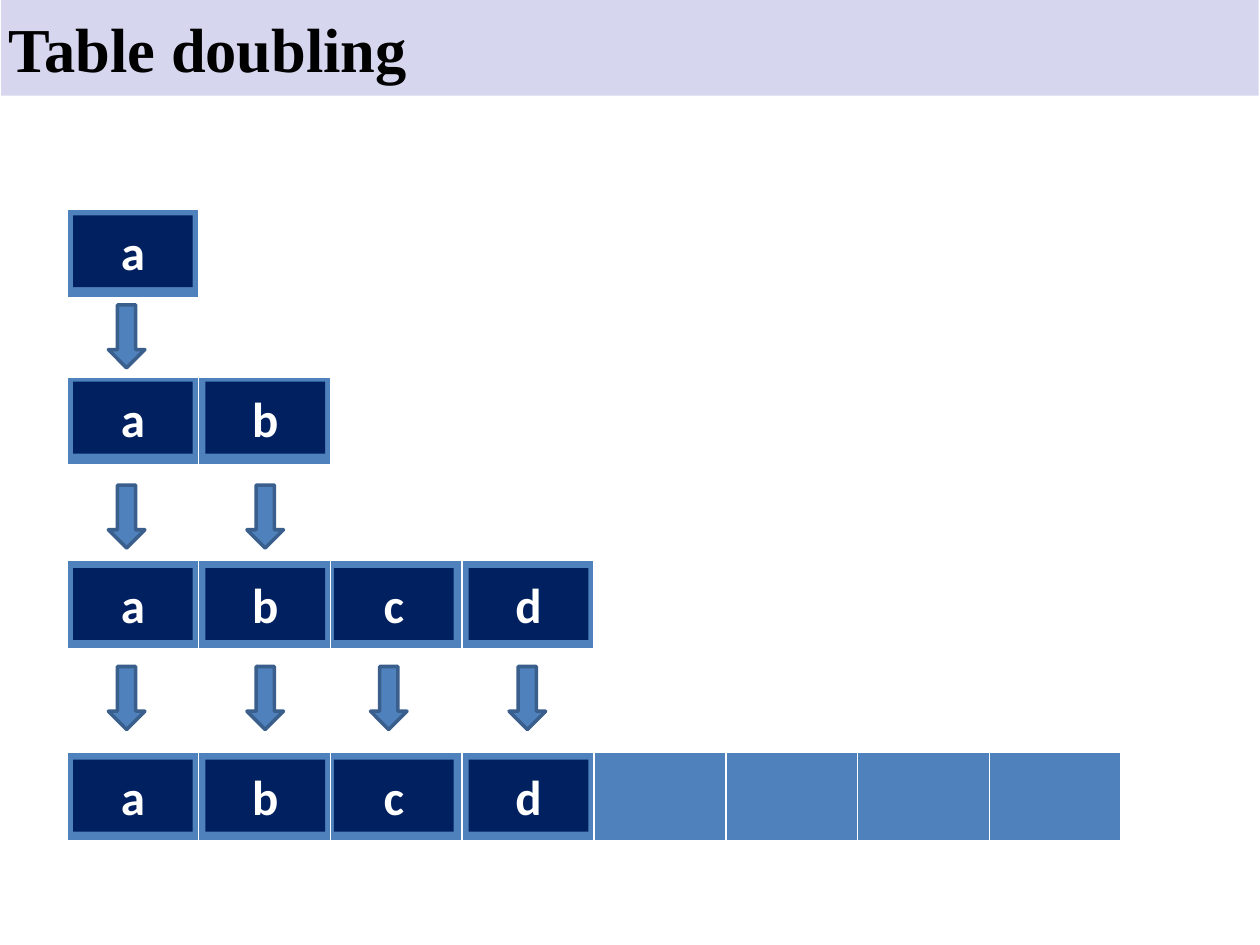
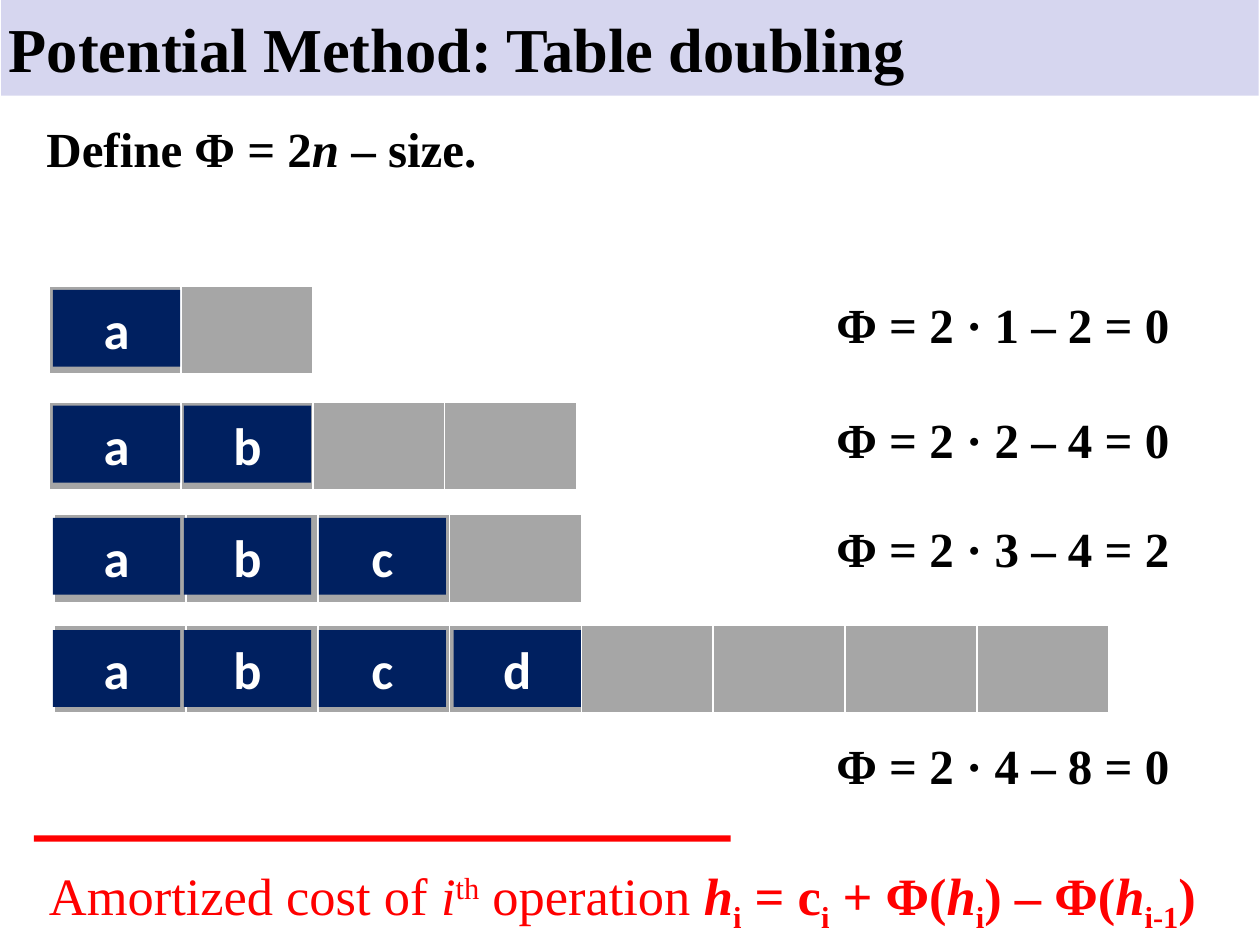
from pptx import Presentation
from pptx.dml.color import RGBColor
from pptx.enum import shapes, text
from pptx.util import Inches, Pt

color = RGBColor.from_string
BAND, NAVY, BLUE, GRAY = "D6D6EF", "002060", "4F81BD", "A6A6A6"
ARROW_EDGE, RED, BLACK, WHITE = "3A5F8C", "FF0000", "000000", "FFFFFF"
SERIF, SANS = "Times New Roman", "Calibri"
CELL_WIDTH, CELL_HEIGHT = 8.37 / 8, 0.7
RECTANGLE = shapes.MSO_SHAPE.RECTANGLE


def add_block(slide, kind, left, top, width, height, fill, line=None):
    """Add a filled preset shape, outlined only if a line colour is given."""
    shape = slide.shapes.add_shape(
        kind, Inches(left), Inches(top), Inches(width), Inches(height))
    shape.shadow.inherit = False
    shape.fill.solid()
    shape.fill.fore_color.rgb = color(fill)
    if line:
        shape.line.color.rgb = color(line)
        shape.line.width = Pt(2)
    else:
        shape.line.fill.background()
    return shape


def write(shape, runs, size, font=SERIF, ink=BLACK):
    """Write (wording, style) runs; b is bold, i italic, ^ raised, _ lowered."""
    shape.text_frame.word_wrap = True
    paragraph = shape.text_frame.paragraphs[0]
    for wording, style in runs:
        run = paragraph.add_run()
        run.text = wording
        run.font.name = font
        run.font.size = Pt(size)
        run.font.color.rgb = color(ink)
        run.font.bold = "b" in style
        run.font.italic = "i" in style
        if "^" in style or "_" in style:
            run.font._element.set("baseline", "30000" if "^" in style else "-25000")
    return paragraph


presentation = Presentation()
presentation.slide_width = Inches(10)
presentation.slide_height = Inches(7.5)

# Each row: table left, table top, number of cells, stored items, box top
doubling = {
    "title": "Table doubling",
    "cell_fill": BLUE,
    "rows": [(0.53, 1.66, 1, "a", 1.71), (0.53, 2.99, 2, "ab", 3.03),
             (0.53, 4.45, 4, "abcd", 4.51), (0.53, 5.97, 8, "abcd", 6.03)],
    "box_lefts": [0.58, 1.63, 2.65, 3.72],
    "box_size": (0.95, 0.57),
    "letter_size": 28,
}
potential = {
    "title": "Potential Method: Table doubling",
    "cell_fill": GRAY,
    "rows": [(0.39, 2.27, 2, "a", 2.3), (0.39, 3.19, 4, "ab", 3.22),
             (0.43, 4.08, 4, "abc", 4.11), (0.43, 4.96, 8, "abcd", 5)],
    "box_lefts": [0.42, 1.46, 2.53, 3.6],
    "box_size": (1.01, 0.61),
    "letter_size": 30,
}

# Title band, tables and item boxes of both slides
for content in (doubling, potential):
    slide = presentation.slides.add_slide(presentation.slide_layouts[6])
    add_block(slide, RECTANGLE, 0.01, 0, 9.98, 0.76, BAND)
    title = slide.shapes.add_textbox(
        Inches(0.04), Inches(0.04), Inches(9.6), Inches(0.64))
    frame = title.text_frame
    frame.margin_left, frame.margin_top = Inches(0.03), Inches(0.04)
    frame.margin_right = frame.margin_bottom = 0
    write(title, [(content["title"], "b")], 35.7).space_before = Pt(2.7)

    for left, top, cells, items, box_top in content["rows"]:
        table = slide.shapes.add_table(
            1, cells, Inches(left), Inches(top),
            Inches(CELL_WIDTH * cells), Inches(CELL_HEIGHT)).table
        for cell in table.iter_cells():
            cell.fill.solid()
            cell.fill.fore_color.rgb = color(content["cell_fill"])
        for letter, box_left in zip(items, content["box_lefts"]):
            box = add_block(slide, RECTANGLE, box_left, box_top,
                            *content["box_size"], NAVY)
            box.text_frame.vertical_anchor = text.MSO_ANCHOR.MIDDLE
            paragraph = write(box, [(letter, "b")], content["letter_size"], SANS, WHITE)
            paragraph.alignment = text.PP_ALIGN.CENTER

# Slide 1: arrows that copy items into the doubled table
doubling_slide, potential_slide = presentation.slides
for count, top in ((1, 2.42), (2, 3.85), (4, 5.29)):
    for left in (0.86, 1.96, 2.94, 4.04)[:count]:
        add_block(doubling_slide, shapes.MSO_SHAPE.DOWN_ARROW,
                  left, top, 0.29, 0.5, BLUE, ARROW_EDGE)

# Slide 2: definition, potential of each row, amortized cost
definition = [("Define Φ = 2", "b"), ("n", "bi"), (" – size.", "b")]
cost = [("Amortized cost of ", ""), ("i", "i"), ("th", "^"), (" operation ", ""),
        ("h", "bi"), ("i", "b_"), (" = c", "b"), ("i", "b_"), (" + Φ(", "b"),
        ("h", "bi"), ("i", "b_"), (") – Φ(", "b"),
        ("h", "bi"), ("i-1", "b_"), (")", "b")]
lines = [(0.27, 0.89, 7.85, definition, 28, BLACK),
         (0.29, 6.8, 9.54, cost, 30, RED)]
for n, (size, top) in enumerate(((2, 2.29), (4, 3.2), (4, 4.07), (8, 5.79)), 1):
    equation = f"Φ = 2 · {n} – {size} = {2 * n - size}"
    lines.append((6.54, top, 3.39, [(equation, "b")], 28, BLACK))
for left, top, width, runs, size, ink in lines:
    box = potential_slide.shapes.add_textbox(
        Inches(left), Inches(top), Inches(width), Inches(0.57))
    write(box, runs, size, ink=ink)
add_block(potential_slide, RECTANGLE, 0.27, 6.63, 5.53, 0.05, RED)

presentation.save("out.pptx")
